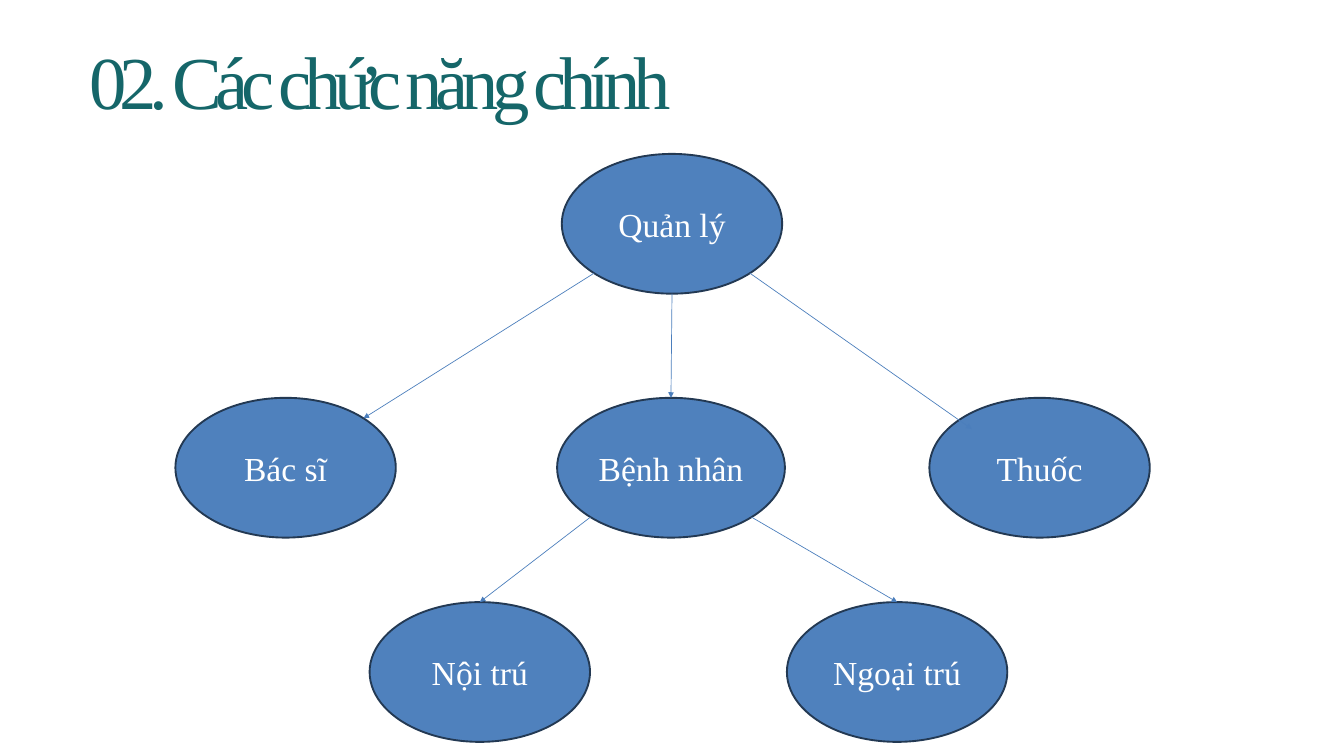
from math import sqrt

from lxml import etree
from pptx import Presentation
from pptx.dml.color import RGBColor
from pptx.enum.shapes import MSO_CONNECTOR, MSO_SHAPE
from pptx.enum.text import MSO_ANCHOR, PP_ALIGN
from pptx.oxml.ns import qn
from pptx.util import Emu, Pt

PX = 9144  # EMU per px, 100 px to the inch
FONT = "Times New Roman"
COLORS = {"title": "156669", "node": "4F81BD", "outline": "233953",
          "arrow": "4B7EBC", "label": "FFFFFF"}

TITLE = "02. Các chức năng chính"
NODE_H = 208
# text: (left, top, width)
NODES = {
    "Quản lý": (836, 229, 328),
    "Bác sĩ": (261, 592, 328),
    "Bệnh nhân": (829, 592, 339),
    "Thuốc": (1383, 592, 328),
    "Nội trú": (550, 896, 328),
    "Ngoại trú": (1171, 896, 328),
}
# Sides are unit steps from an ellipse's centre: (across, down)
TOP, BOTTOM = (0, -1), (0, 1)
LOWER_LEFT, LOWER_RIGHT = (-1, 1), (1, 1)
UPPER_LEFT, UPPER_RIGHT = (-1, -1), (1, -1)
# parent, side, child, side, shift of the arrow tip
LINKS = [
    ("Quản lý", LOWER_LEFT, "Bác sĩ", UPPER_RIGHT, (0, 0)),
    ("Quản lý", BOTTOM, "Bệnh nhân", TOP, (0, 0)),
    ("Quản lý", LOWER_RIGHT, "Thuốc", UPPER_LEFT, (15, 16)),
    ("Bệnh nhân", LOWER_LEFT, "Nội trú", TOP, (0, 0)),
    ("Bệnh nhân", LOWER_RIGHT, "Ngoại trú", TOP, (0, 0)),
]


def px(*values):
    return [Emu(round(v * PX)) for v in values]


def rgb(name):
    return RGBColor.from_string(COLORS[name])


def write(tf, text, size, color, align=PP_ALIGN.LEFT, spacing=None, line=None):
    p = tf.paragraphs[0]
    p.alignment = align
    if line:
        p.line_spacing = Pt(line)
    r = p.add_run()
    r.text = text
    r.font.name, r.font.size = FONT, Pt(size)
    r.font.color.rgb = rgb(color)
    if spacing:
        r.font._element.set("spc", str(round(spacing * 100)))


def add_title(slide):
    tf = slide.shapes.add_textbox(*px(133, 79, 952, 108)).text_frame
    tf.word_wrap = True
    tf.margin_left = tf.margin_right = tf.margin_top = tf.margin_bottom = 0
    write(tf, TITLE, 80, "title", spacing=-7.7, line=76.8)


def add_node(slide, text, left, top, width):
    s = slide.shapes.add_shape(MSO_SHAPE.OVAL, *px(left, top, width, NODE_H))
    s.shadow.inherit = False
    s.fill.solid()
    s.fill.fore_color.rgb = rgb("node")
    s.line.color.rgb = rgb("outline")
    s.line.width = Pt(2)
    s.text_frame.word_wrap = True
    s.text_frame.vertical_anchor = MSO_ANCHOR.MIDDLE
    write(s.text_frame, text, 36, "label", align=PP_ALIGN.CENTER)
    return s


def rim_point(name, side):
    """Point on the ellipse's rim, in px; diagonal sides lie at 45 degrees."""
    left, top, width = NODES[name]
    dx, dy = side
    reach = 2 * sqrt(dx * dx + dy * dy)
    return left + width / 2 + width * dx / reach, top + NODE_H / 2 + NODE_H * dy / reach


def add_link(slide, shapes, parent, out_side, child, in_side, shift):
    x, y = rim_point(child, in_side)
    tip = x + shift[0], y + shift[1]
    c = slide.shapes.add_connector(MSO_CONNECTOR.STRAIGHT,
                                   *px(*rim_point(parent, out_side), *tip))
    if in_side == TOP:
        c.end_connect(shapes[child], 0)
    c.line.color.rgb = rgb("arrow")
    c.line.width = Pt(0.75)
    etree.SubElement(c.line._get_or_add_ln(), qn("a:tailEnd"), type="triangle")
    etree.SubElement(c._element.spPr, qn("a:effectLst"))


def main():
    prs = Presentation()
    prs.slide_width, prs.slide_height = px(2000, 1125)
    slide = prs.slides.add_slide(prs.slide_layouts[6])
    add_title(slide)
    shapes = {text: add_node(slide, text, *place) for text, place in NODES.items()}
    for link in LINKS:
        add_link(slide, shapes, *link)
    prs.save("out.pptx")


if __name__ == "__main__":
    main()
